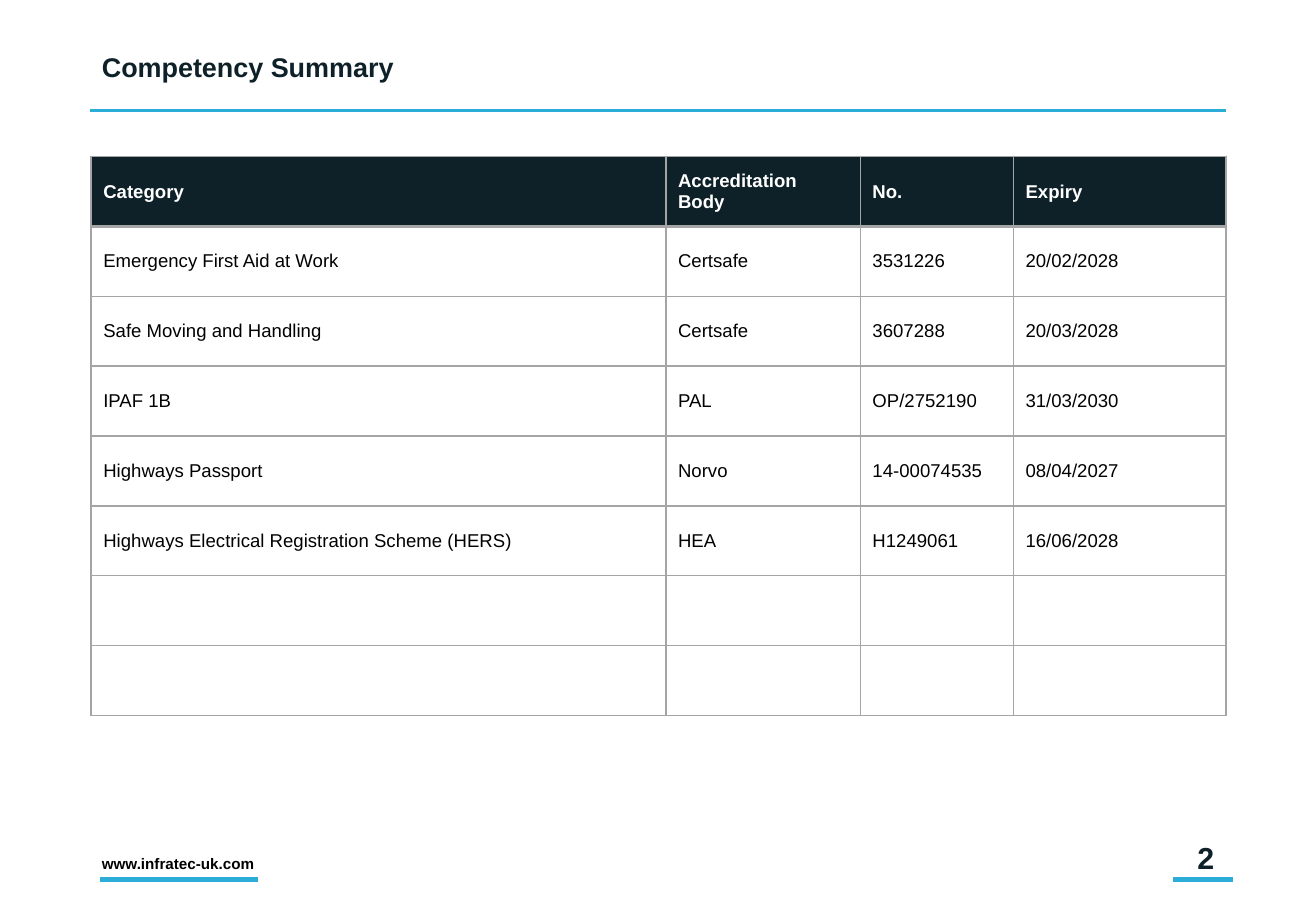
from lxml import etree
from pptx import Presentation
from pptx import oxml
from pptx.dml.color import RGBColor
from pptx.enum import shapes, text
from pptx.oxml import ns
from pptx.util import Inches, Pt

NAVY, BLUE, GREY = "0E2129", "2BADD8", "A5A5A5"
BLACK, WHITE = "000000", "FFFFFF"


def color(value):
    return RGBColor.from_string(value)


def write(tf, words, fmt, fill):
    tf.word_wrap = True
    p = tf.paragraphs[0]
    r = p.add_run()
    r.text = words
    for name, value in fmt.items():
        setattr(r.font, name, value)
    r.font.color.rgb = color(fill)
    return p


prs = Presentation()
prs.slide_width, prs.slide_height = Inches(10.83), Inches(7.5)
s = prs.slides.add_slide(prs.slide_layouts[6])

# Title, web address and page number
labels = [
    ("Competency Summary", (0.74, 0.4, 9.34, 0.49), 16, NAVY, "TOP", "LEFT", 0.9),
    ("www.infratec-uk.com", (0.74, 6.98, 1.53, 0.25), 9, BLACK, "TOP", "LEFT", 1),
    ("2", (7.65, 6.86, 2.44, 0.4), 18, NAVY, "MIDDLE", "RIGHT", 1),
]
for words, box, size, fill, anchor, align, spacing in labels:
    tf = s.shapes.add_textbox(*map(Inches, box)).text_frame
    tf.vertical_anchor = text.MSO_ANCHOR[anchor]
    p = write(tf, words, {"name": "Arial", "size": Pt(size), "bold": True}, fill)
    p.alignment = text.PP_ALIGN[align]
    p.line_spacing = spacing

# Competency table
rows = [
    ("Category", "Accreditation Body", "No.", "Expiry"),
    ("Emergency First Aid at Work", "Certsafe", "3531226", "20/02/2028"),
    ("Safe Moving and Handling", "Certsafe", "3607288", "20/03/2028"),
    ("IPAF 1B", "PAL", "OP/2752190", "31/03/2030"),
    ("Highways Passport", "Norvo", "14-00074535", "08/04/2027"),
    ("Highways Electrical Registration Scheme (HERS)", "HEA", "H1249061", "16/06/2028"),
    ("",) * 4,
    ("",) * 4,
]
widths = [4.73, 1.6, 1.26, 1.75]
height = 4.6
frame = s.shapes.add_table(len(rows), len(widths), Inches(0.75), Inches(1.29),
                           Inches(sum(widths)), Inches(height))
table = frame.table
table.first_row = table.horz_banding = False
for column, width in zip(table.columns, widths):
    column.width = Inches(width)

for i, values in enumerate(rows):
    table.rows[i].height = Inches(height / len(rows))
    header = i == 0
    for j, words in enumerate(values):
        cell = table.cell(i, j)
        cell.vertical_anchor = text.MSO_ANCHOR.MIDDLE
        # Cell borders, thicker under the header
        for side in "LRTB":
            thick = (header and side == "B") or (i == 1 and side == "T")
            cell._tc.get_or_add_tcPr().append(oxml.parse_xml(
                f'<a:ln{side} {ns.nsdecls("a")} w="{Pt(2 if thick else 1)}">'
                f'<a:solidFill><a:srgbClr val="{GREY}"/></a:solidFill></a:ln{side}>'))
        if header:
            cell.fill.solid()
            cell.fill.fore_color.rgb = color(NAVY)
        else:
            cell.fill.background()
        if words:
            write(cell.text_frame, words,
                  {"name": "Arial", "size": Pt(11), "bold": header},
                  WHITE if header else BLACK)

# Rules under the title, web address and page number
for left, right, y, weight in [(0.74, 10.09, 0.91, 1.75),
                               (0.82, 2.12, 7.24, 3),
                               (9.65, 10.15, 7.24, 3)]:
    sp = s.shapes.add_connector(shapes.MSO_CONNECTOR.STRAIGHT, Inches(left),
                                Inches(y), Inches(right), Inches(y))
    sp.line.color.rgb = color(BLUE)
    sp.line.width = Pt(weight)
    etree.SubElement(sp._element.spPr, ns.qn("a:effectLst"))

prs.save("out.pptx")
